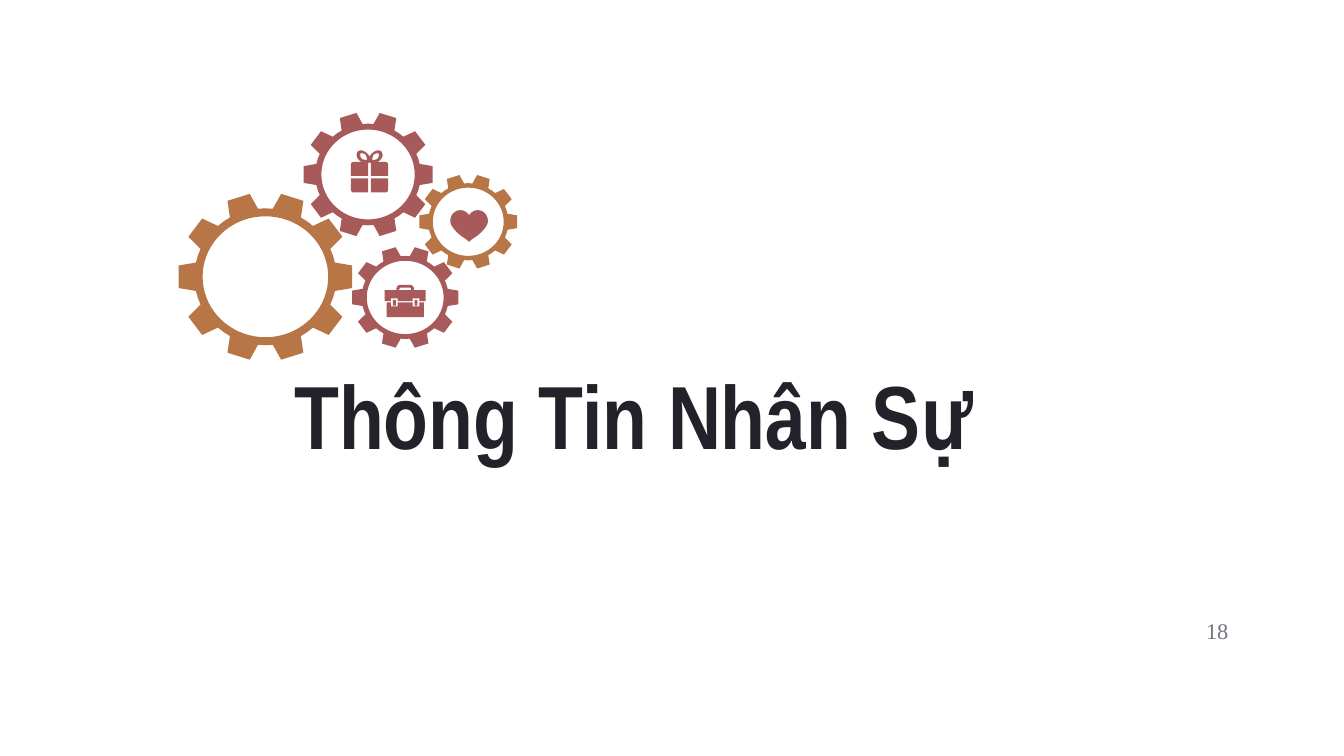
from dataclasses import dataclass
from math import cos, radians, sin

from pptx import Presentation
from pptx.dml.color import RGBColor as Rgb
from pptx.enum.shapes import MSO_SHAPE as Kind
from pptx.enum.text import MSO_ANCHOR as Anchor, MSO_AUTO_SIZE as Fit, PP_ALIGN as Align
from pptx.util import Pt

Point = tuple[float, float]
Ring = list[Point]


@dataclass(frozen=True)
class Theme:
    ink: str = "25212A"
    grey: str = "797281"
    gold: str = "B87647"
    rose: str = "A85A5A"
    head: str = "Arial Narrow"
    body: str = "Times New Roman"
    large: float = 48
    small: float = 12
    inset: float = 7.2


@dataclass(frozen=True)
class Gear:
    x: float
    y: float
    rx: float
    ry: float
    tint: str


LOOK = Theme()
GEARS = [
    Gear(142.2, 148.3, 46.4, 44.7, LOOK.gold),
    Gear(197.2, 93.5, 34.5, 33.2, LOOK.rose),
    Gear(217.1, 159.4, 28.4, 27.1, LOOK.rose),
    Gear(250.9, 118.8, 26.2, 25.2, LOOK.gold),
]


# Geometry
def curve(start: Point, *parts: tuple[Point, Point, Point], steps: int = 8) -> Ring:
    """Turn a chain of cubic curves into points."""
    ring = [start]
    for b, c, d in parts:
        a = ring[-1]
        for i in range(1, steps + 1):
            t = i / steps
            u = 1 - t
            mix = (u**3, 3 * u * u * t, 3 * u * t * t, t**3)
            ring.append(tuple(sum(m * p[k] for m, p in zip(mix, (a, b, c, d)))
                              for k in (0, 1)))
    return ring


def place(ring: Ring, x: float, y: float = 0, sx: float = 1, sy: float = 1) -> Ring:
    return [(x + sx * px, y + sy * py) for px, py in ring]


def twin(half: Ring) -> Ring:
    """Close a right half with its mirrored left half."""
    return half + [(-x, y) for x, y in reversed(half)]


def polar(rad: float, deg: float) -> Point:
    return rad * cos(radians(deg)), rad * sin(radians(deg))


# Drawing
def paint(shape, tint: str) -> None:
    shape.shadow.inherit = False
    shape.fill.solid()
    shape.fill.fore_color.rgb = Rgb.from_string(tint)
    shape.line.fill.background()


def draw(group, tint: str, *rings: Ring) -> None:
    first, *rest = [[(Pt(x), Pt(y)) for x, y in ring] for ring in rings]
    pen = group.shapes.build_freeform(*first[0])
    pen.add_line_segments(first[1:])
    for ring in rest:
        pen.move_to(*ring[0])
        pen.add_line_segments(ring[1:])
    paint(pen.convert_to_shape(), tint)


def draw_gear(group, gear: Gear) -> None:
    tooth = [(0.82, -12), (1.01, -7.7), (1.01, 7.7), (0.82, 12), (0.82, 18)]
    rim = [polar(rad, mid + off) for mid in range(0, 360, 36) for rad, off in tooth]
    hole = [polar(0.725, deg) for deg in range(360, 0, -5)]
    draw(group, gear.tint,
         *(place(ring, gear.x, gear.y, gear.rx, gear.ry) for ring in (rim, hole)))


def draw_gift(group) -> None:
    loop = curve((4.3, 80.6),
                 ((3.6, 80.6), (2.2, 81.4), (1.4, 82.1)),
                 ((0, 83.5), (-1.4, 85.7), (0, 87.1)),
                 ((0.7, 87.1), (0.7, 87.8), (1.4, 87.8)),
                 ((2.9, 87.8), (4.3, 87.1), (5.8, 85.7)),
                 ((7.2, 84.2), (7.2, 82.8), (6.5, 81.4)),
                 ((5.8, 80.6), (5, 80.6), (4.3, 80.6)))
    hole = curve((4.3, 82.1),
                 ((4.7, 82.1), (5, 82.4), (5, 82.8)),
                 ((5, 83.5), (5, 84.2), (4.3, 85)),
                 ((3.6, 85.7), (2.2, 85.7), (1.4, 85.7)),
                 ((1.4, 85.7), (1.4, 84.2), (2.2, 82.8)),
                 ((2.9, 82.5), (3.6, 82.1), (4.3, 82.1)))
    panel = [(0.7, 0.7), (10, 0.7)] + curve((10, 6.6), ((10, 7.5), (9.3, 8.2), (8.4, 8.2)))
    panel.append((0.7, 8.2))
    for sx in (1, -1):
        draw(group, LOOK.rose, place(loop, 198, sx=sx), place(hole, 198, sx=sx))
        for sy in (1, -1):
            draw(group, LOOK.rose, place(panel, 198, 94.9, sx, sy))


def draw_case(group) -> None:
    mid = 217.1
    lid = curve((2.5, 152.6), ((3.7, 152.6), (4.7, 153.6), (4.7, 154.8)))
    lid += [(4.7, 155.5), (11, 155.5), (11, 161.3), (7.6, 161.3),
            (7.6, 159.8), (4, 159.8), (4, 161.3)]
    grip = [(2.5, 154.1), (3.2, 154.8), (3.2, 155.5)]
    base = [(4, 162), (4, 164.2), (7.6, 164.2), (7.6, 162), (10, 162), (10, 169.9)]
    draw(group, LOOK.rose, place(twin(lid), mid), place(twin(grip), mid))
    draw(group, LOOK.rose, place(twin(base), mid))
    for off in (-5.8, 5.8):
        latch = group.shapes.add_shape(
            Kind.RECTANGLE, Pt(mid + off - 0.8), Pt(160.6), Pt(1.6), Pt(3.2))
        paint(latch, LOOK.rose)


def draw_heart(group) -> None:
    half = curve((0, 115.2),
                 ((3.6, 110.2), (10.1, 113), (10.1, 118.4)),
                 ((10.1, 121.3), (6.5, 124.6), (4.3, 126.4)),
                 ((1.4, 128.2), (0.7, 128.9), (0, 129.6)))
    draw(group, LOOK.rose, place(twin(half), 251.3))


def write(box, text: str, font: str, size: float, tint: str,
          anchor: Anchor, align: Align, bold: bool = False) -> None:
    frame = box.text_frame
    frame.word_wrap = True
    frame.auto_size = Fit.NONE
    frame.vertical_anchor = anchor
    frame.margin_left = frame.margin_right = Pt(LOOK.inset)
    frame.margin_top = frame.margin_bottom = Pt(LOOK.inset)
    para = frame.paragraphs[0]
    para.alignment = align
    run = para.add_run()
    run.text = text
    run.font.name = font
    run.font.size = Pt(size)
    run.font.bold = bold
    run.font.color.rgb = Rgb.from_string(tint)


def main() -> None:
    deck = Presentation()
    deck.slide_width, deck.slide_height = Pt(720), Pt(405)
    slide = deck.slides.add_slide(deck.slide_layouts[5])

    # Title
    title = slide.shapes.title
    title.left, title.top = Pt(150.5), Pt(113)
    title.width, title.height = Pt(457), Pt(144.7)
    write(title, "Thông Tin Nhân Sự", LOOK.head, LOOK.large, LOOK.ink,
          Anchor.BOTTOM, Align.LEFT, True)

    # Page number
    page = slide.shapes.add_textbox(Pt(622), Pt(322.5), Pt(43.2), Pt(31))
    write(page, "18", LOOK.body, LOOK.small, LOOK.grey, Anchor.MIDDLE, Align.RIGHT)

    # Gears and their icons
    group = slide.shapes.add_group_shape()
    for gear in GEARS:
        draw_gear(group, gear)
    draw_gift(group)
    draw_case(group)
    draw_heart(group)

    deck.save("out.pptx")


if __name__ == "__main__":
    main()
